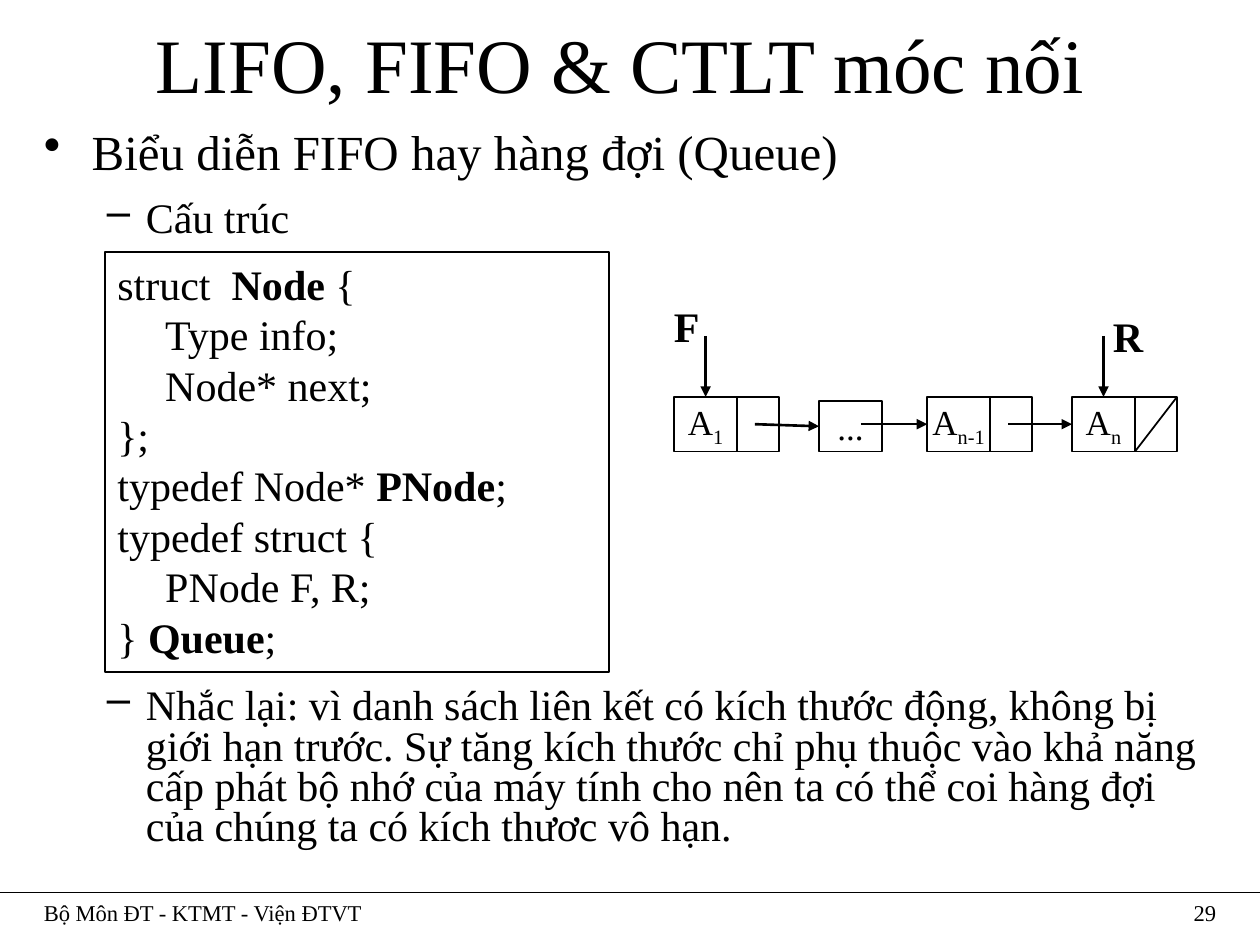
from lxml.etree import SubElement
from pptx import Presentation
from pptx.dml.color import RGBColor
from pptx.enum.shapes import MSO_CONNECTOR as Link, MSO_SHAPE as Shape
from pptx.enum.text import MSO_ANCHOR as Anchor, MSO_AUTO_SIZE as Fit, PP_ALIGN as Align
from pptx.oxml.ns import qn
from pptx.util import Inches, Pt

COLORS = {"ink": "000000"}
FONT = "Times New Roman"
COLUMNS, ROWS = 120, 90
TOP, LEFT = 0, 1


def write(para, spans, size=24, align=Align.LEFT, margin=0, hanging=0,
          bullet=None, before=0, spacing=1):
    props = para._p.get_or_add_pPr()
    props.set("marL", str(Inches(margin)))
    props.set("indent", str(-Inches(hanging)))
    if bullet:
        SubElement(props, qn("a:buChar")).set("char", bullet)
    para.alignment = align
    para.space_before = Pt(before)
    para.line_spacing = spacing
    for text, style in spans:
        span = para.add_run()
        span.text = text
        font = span.font
        font.name, font.size, font.bold = FONT, Pt(size), style == "bold"
        font.color.rgb = RGBColor.from_string(COLORS["ink"])
        if style == "sub":
            font._element.set("baseline", "-25000")


def plain(text):
    return [(text, "")]


class SlideBuilder:
    def __init__(self, deck):
        self.page = deck.slides.add_slide(deck.slide_layouts[5])
        self.column = deck.slide_width / COLUMNS
        self.row = deck.slide_height / ROWS

    def place(self, left, top, width, height):
        return (round(left * self.column), round(top * self.row),
                round(width * self.column), round(height * self.row))

    def fill_text(self, box, paras, anchor=Anchor.TOP, wrap=True):
        frame = box.text_frame
        frame.auto_size = Fit.NONE
        frame.word_wrap = wrap
        frame.vertical_anchor = anchor
        for index, (spans, style) in enumerate(paras):
            para = frame.add_paragraph() if index else frame.paragraphs[0]
            write(para, spans, **style)

    def title(self, text, *area):
        box = self.page.shapes.title
        box.left, box.top, box.width, box.height = self.place(*area)
        style = {"size": 44, "align": Align.CENTER}
        self.fill_text(box, [(plain(text), style)], Anchor.MIDDLE)

    def text(self, paras, *area, wrap=True):
        box = self.page.shapes.add_textbox(*self.place(*area))
        self.fill_text(box, paras, wrap=wrap)

    def rect(self, *area, weight=1, paras=(), anchor=Anchor.MIDDLE, wrap=False):
        box = self.page.shapes.add_shape(Shape.RECTANGLE, *self.place(*area))
        box.shadow.inherit = False
        box.fill.background()
        box.line.color.rgb = RGBColor.from_string(COLORS["ink"])
        box.line.width = Pt(weight)
        self.fill_text(box, paras, anchor, wrap)
        return box

    def line(self, start, end, weight=1.0):
        x1, y1, x2, y2 = self.place(*start, *end)
        line = self.page.shapes.add_connector(Link.STRAIGHT, x1, y1, x2, y2)
        line.line.color.rgb = RGBColor.from_string(COLORS["ink"])
        line.line.width = Pt(weight)
        SubElement(line._element.spPr, qn("a:effectLst"))
        return line

    def arrow(self, start, target, side):
        arrow = self.line(start, start, 1.5)
        arrow.end_connect(target, side)
        SubElement(arrow.line._get_or_add_ln(), qn("a:tailEnd")).set("type", "triangle")

    def cell(self, spans, left, top, height):
        style = {"size": 20, "align": Align.CENTER}
        return self.rect(left, top, 6, height, paras=[(spans, style)])


def draw_queue(slide):
    top, height, info, link = 37.8, 5.2, 6, 4
    bottom = top + height
    lefts = {"1": 64.2, "n-1": 88.3, "n": 102.1}
    cells = {}
    for index, left in lefts.items():
        cells[index] = slide.cell([("A", ""), (index, "sub")], left, top, height)
        slide.rect(left + info, top, link, height)
    tail = lefts["n"] + info
    slide.line((tail, bottom), (tail + link, top))
    dots = slide.cell(plain("..."), 78, 38.2, bottom - 38.2)

    middle = top + height / 2
    for start, target in ((71.9, dots), (82, cells["n-1"]), (96, cells["n"])):
        slide.arrow((start, middle), target, LEFT)
    for name, index, left, label_top in (("F", "1", 63, 28), ("R", "n", 104.8, 29)):
        slide.arrow((lefts[index] + info / 2, 32), cells[index], TOP)
        slide.text([([(name, "bold")], {})], left, label_top, 5, 6, wrap=False)


def main():
    deck = Presentation()
    deck.slide_width, deck.slide_height = Inches(10), Inches(7.5)
    slide = SlideBuilder(deck)
    slide.title("LIFO, FIFO & CTLT móc nối ", 3, 1, 114, 10)

    point = {"size": 28, "margin": 0.38, "hanging": 0.38, "bullet": "•"}
    dash = {"margin": 0.81, "hanging": 0.31, "bullet": "–"}
    slide.text([(plain("Biểu diễn FIFO hay hàng đợi (Queue)"), point),
                (plain("Cấu trúc"), {**dash, "before": 6})], 3, 11, 114, 13)

    code = [
        [("struct  ", ""), ("Node", "bold"), (" {", "")],
        plain("\tType info;"),
        plain("\tNode* next;"),
        plain("};"),
        [("typedef Node* ", ""), ("PNode", "bold"), (";", "")],
        plain("typedef struct {"),
        plain("\tPNode F, R;"),
        [("} ", ""), ("Queue", "bold"), (";", "")],
    ]
    code_style = {"margin": 0.38, "hanging": 0.38}
    slide.rect(10, 24, 48, 40, weight=0.75, anchor=Anchor.TOP, wrap=True,
               paras=[(spans, code_style) for spans in code])

    note = ("Nhắc lại: vì danh sách liên kết có kích thước động, không bị giới hạn "
            "trước. Sự tăng kích thước chỉ phụ thuộc vào khả năng cấp phát bộ nhớ "
            "của máy tính cho nên ta có thể coi hàng đợi của chúng ta có kích thươc "
            "vô hạn.")
    slide.text([(plain(note), {**dash, "spacing": 0.8})], 3, 65, 114, 17)
    draw_queue(slide)

    slide.line((0, 85), (COLUMNS, 85), 0.75)
    footer = {"size": 12.9}
    slide.text([(plain("Bộ Môn ĐT - KTMT - Viện ĐTVT"), footer)], 3, 85, 102, 4)
    slide.text([(plain("29"), {**footer, "align": Align.RIGHT})], 107, 85, 10, 4)
    deck.save("out.pptx")


if __name__ == "__main__":
    main()
